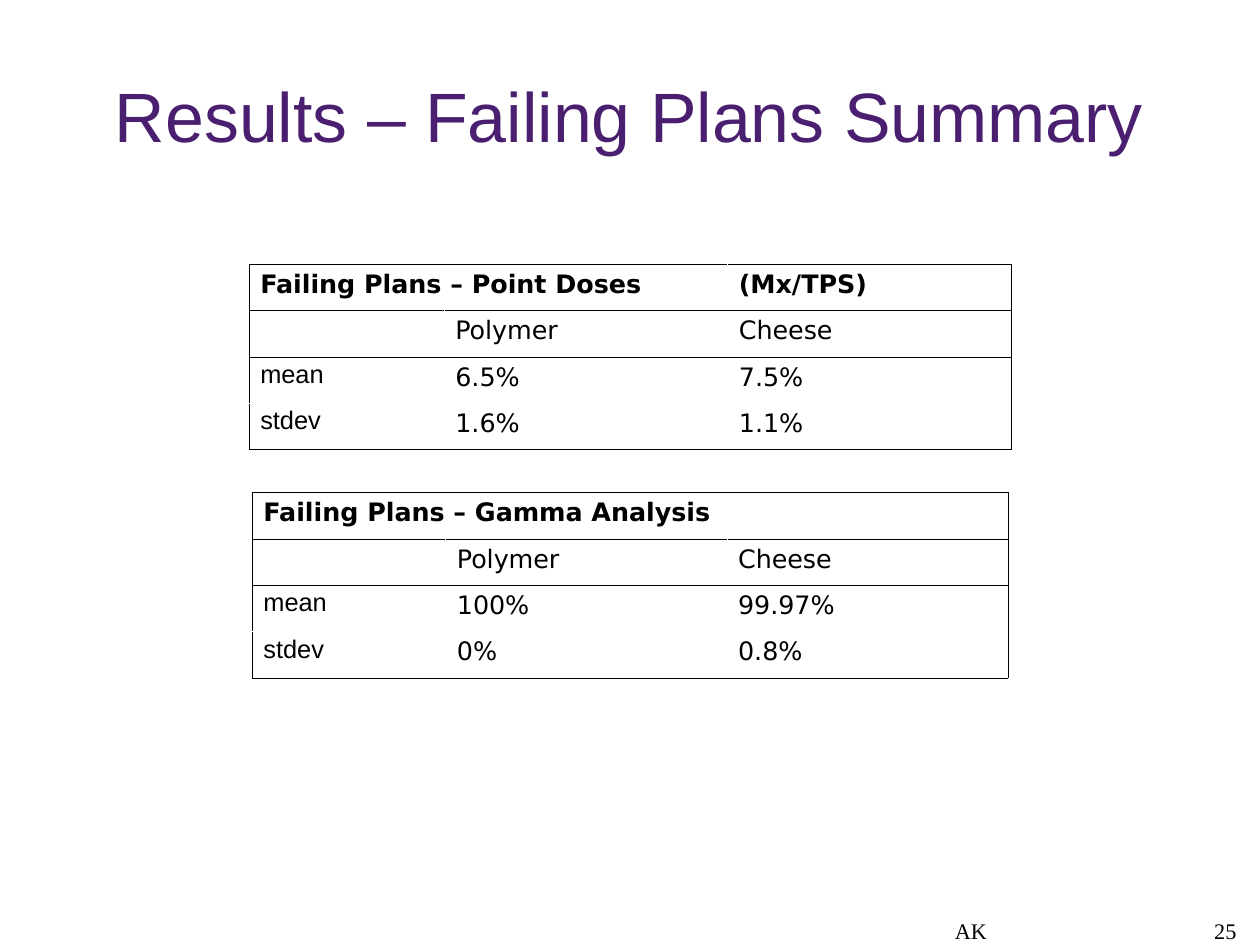
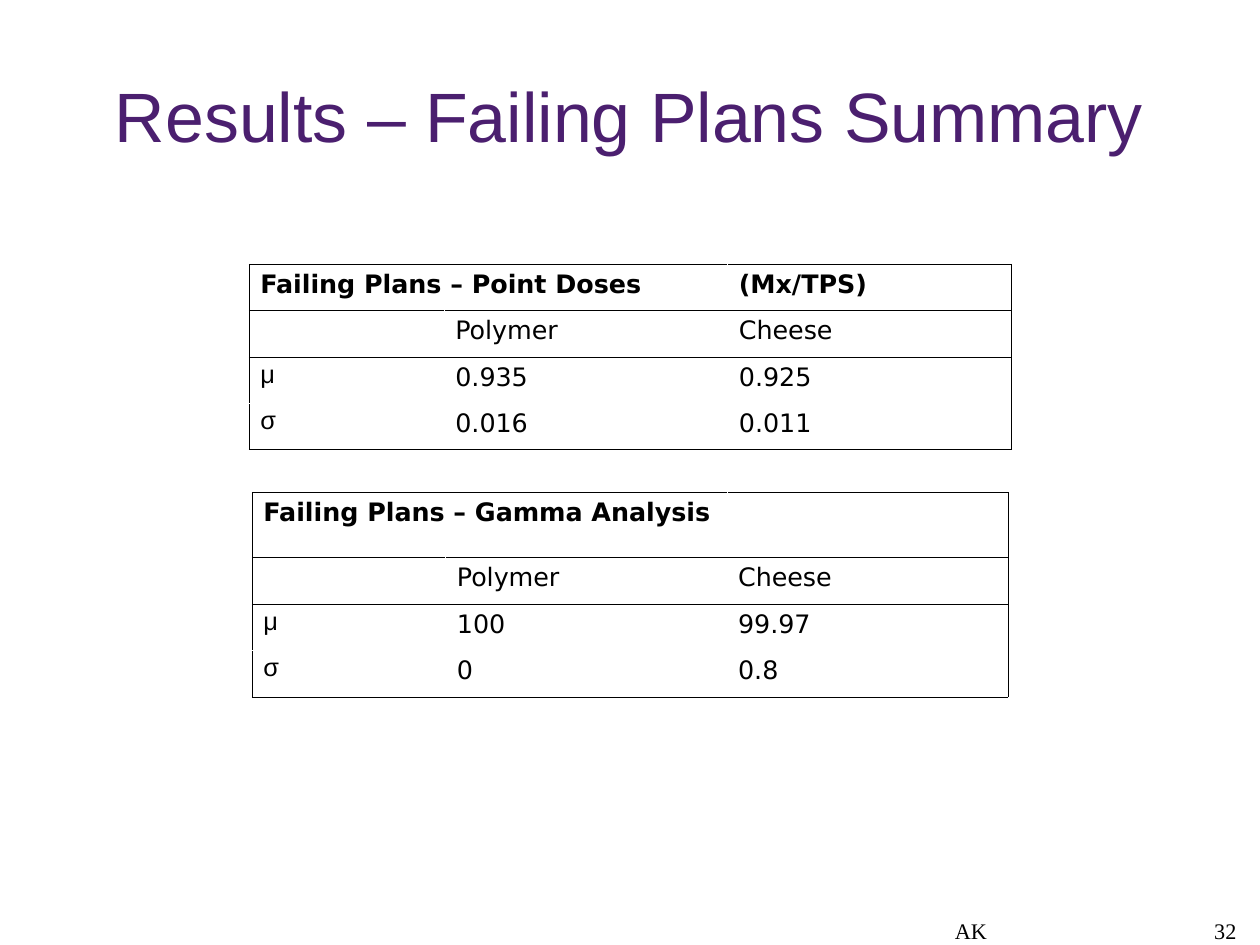
from pptx import Presentation
from pptx.dml.color import RGBColor
from pptx.enum.text import MSO_ANCHOR as Anchor, MSO_AUTO_SIZE as AutoSize, PP_ALIGN as Align
from pptx.oxml.ns import qn
from pptx.util import Cm, Inches, Pt
from lxml.etree import SubElement

# Shared look
PURPLE = RGBColor(0x4B, 0x1F, 0x6F)
BLACK = RGBColor(0, 0, 0)
WHITE = RGBColor(0xFF, 0xFF, 0xFF)
TITLE_FONT, TABLE_FONT, FOOTER_FONT = "Arial", "DejaVu Sans", "Times New Roman"
PLAIN_STYLE = "{2D5ABB26-0587-4C30-8999-92F81FD0307C}"
TITLE_ONLY = 5

# Grid: percentages of the slide's width and height
WIDTH, HEIGHT = Cm(28), Cm(21)
TITLE_BOX = (4.98, 4, 90, 16.7)
FOOTER_BOX = (61.23, 93.1, 31.67, 6.88)
NUMBER_BOX = (74.84, 93.1, 23.3, 6.88)
COLUMN_SHARES = (0.256, 0.372, 0.372)
ROW, TALL_ROW = 4.91, 6.89
DOSES_TOP, DOSES_WIDTH = 27.93, 60.5
GAMMA_TOP, GAMMA_WIDTH = 52.1, 60

TITLE = "Results – Failing Plans Summary"
MATERIALS = ["", "Polymer", "Cheese"]
DOSES_HEADER = ["Failing Plans – Point Doses", "", "(Mx/TPS)"]
GAMMA_HEADER = ["Failing Plans – Gamma Analysis", "", ""]


def across(percent):
    return int(WIDTH * percent / 100)


def down(percent):
    return int(HEIGHT * percent / 100)


def place(box):
    left, top, width, height = box
    return across(left), down(top), across(width), down(height)


def write(frame, text, font, size, color=BLACK, bold=False, align=Align.LEFT, spacing=1.0):
    """Fill the first paragraph of a frame with one formatted run."""
    paragraph = frame.paragraphs[0]
    paragraph.alignment = align
    paragraph.line_spacing = spacing
    paragraph.font.size = Pt(size)
    if text:
        run = paragraph.add_run()
        run.text = text
        run.font.name, run.font.size, run.font.bold = font, Pt(size), bold
        run.font.color.rgb = color


def set_frame(frame, anchor, top_inset=0):
    frame.word_wrap = True
    frame.auto_size = AutoSize.NONE
    frame.vertical_anchor = anchor
    frame.margin_left = frame.margin_right = frame.margin_bottom = 0
    frame.margin_top = Inches(top_inset)


def add_title(slide):
    title = slide.shapes.title
    title.left, title.top, title.width, title.height = place(TITLE_BOX)
    set_frame(title.text_frame, Anchor.MIDDLE, 0.04)
    write(title.text_frame, TITLE, TITLE_FONT, 44, PURPLE, align=Align.CENTER, spacing=0.93)


def add_footer(slide, text, box, align):
    frame = slide.shapes.add_textbox(*place(box)).text_frame
    set_frame(frame, Anchor.BOTTOM)
    write(frame, text, FOOTER_FONT, 14, align=align, spacing=0.95)


def set_borders(cell, black_sides):
    """Draw hairlines: black on the named sides, white on the others."""
    properties = cell._tc.get_or_add_tcPr()
    for index, side in enumerate("LRTB"):
        line = properties.makeelement(qn(f"a:ln{side}"), {"w": str(Pt(0.06))})
        fill = SubElement(line, qn("a:solidFill"))
        color = BLACK if side in black_sides else WHITE
        SubElement(fill, qn("a:srgbClr"), val=str(color))
        properties.insert(index, line)


def add_results(slide, top, width, header, body, header_span=2, header_height=ROW):
    """Add a centred table: header, material names, then two statistics."""
    rows = [header, MATERIALS, *body]
    heights = [header_height] + [ROW] * (len(rows) - 1)
    box = ((100 - width) / 2, top, width, sum(heights))
    frame = slide.shapes.add_table(len(rows), len(MATERIALS), *place(box))
    table = frame.table
    table._tbl.tblPr.find(qn("a:tableStyleId")).text = PLAIN_STYLE
    table.first_row = table.horz_banding = False
    for column, share in zip(table.columns, COLUMN_SHARES):
        column.width = across(width * share)
    for row, height in zip(table.rows, heights):
        row.height = down(height)
    table.cell(0, 0).merge(table.cell(0, header_span - 1))

    for r, texts in enumerate(rows):
        for c, text in enumerate(texts):
            cell = table.cell(r, c)
            if cell.is_spanned:
                continue
            cell.fill.solid()
            cell.fill.fore_color.rgb = WHITE
            is_label = r > 1 and c == 0
            write(cell.text_frame, text, TITLE_FONT if is_label else TABLE_FONT, 16,
                  bold=r == 0, spacing=0.93 if is_label else 1.01)
            # Black outline, and rules below the first two rows
            last_column = c + (cell.span_width if cell.is_merge_origin else 1)
            black = {"L": c == 0, "R": last_column == len(texts),
                     "T": r <= 2, "B": r < 2 or r == len(rows) - 1}
            set_borders(cell, [side for side, on in black.items() if on])


def add_summary(presentation, number, doses, gamma, **gamma_header):
    slide = presentation.slides.add_slide(presentation.slide_layouts[TITLE_ONLY])
    add_footer(slide, "AK", FOOTER_BOX, Align.CENTER)
    add_footer(slide, number, NUMBER_BOX, Align.RIGHT)
    add_title(slide)
    add_results(slide, GAMMA_TOP, GAMMA_WIDTH, GAMMA_HEADER, gamma, **gamma_header)
    add_results(slide, DOSES_TOP, DOSES_WIDTH, DOSES_HEADER, doses)


def main():
    presentation = Presentation()
    presentation.slide_width, presentation.slide_height = WIDTH, HEIGHT

    # Deviations in percent
    add_summary(presentation, "25",
                doses=[["mean", "6.5%", "7.5%"], ["stdev", "1.6%", "1.1%"]],
                gamma=[["mean", "100%", "99.97%"], ["stdev", "0%", "0.8%"]],
                header_span=3)

    # Ratios
    add_summary(presentation, "32",
                doses=[["μ", "0.935", "0.925"], ["σ", "0.016", "0.011"]],
                gamma=[["μ", "100", "99.97"], ["σ", "0", "0.8"]],
                header_height=TALL_ROW)

    presentation.save("out.pptx")


if __name__ == "__main__":
    main()
